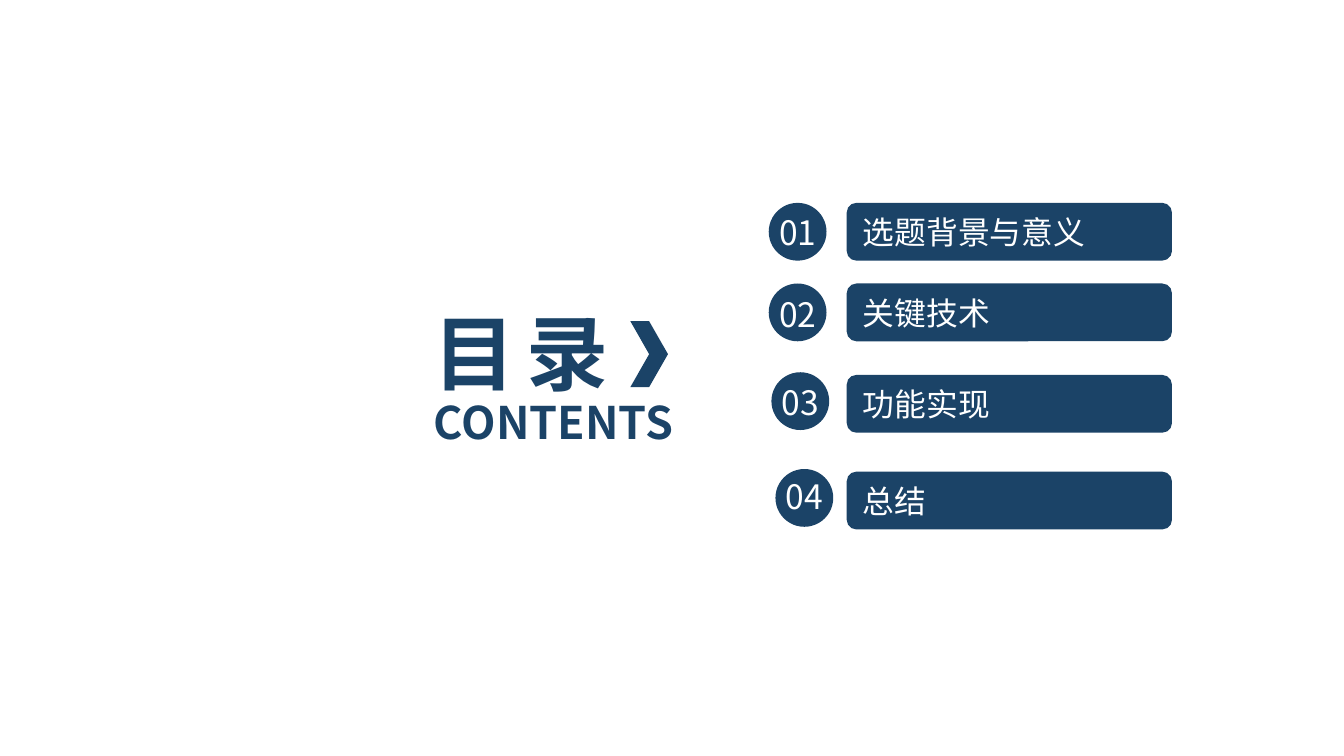
from dataclasses import dataclass

import pptx
import pptx.dml.color
import pptx.enum.shapes
import pptx.enum.text
import pptx.oxml.ns
import pptx.util

SHAPE = pptx.enum.shapes.MSO_SHAPE
ALIGN = pptx.enum.text.PP_ALIGN
SLIDE_WIDTH = 10
SLIDE_HEIGHT = SLIDE_WIDTH * 9 / 16
COLUMNS = 100
ROWS = COLUMNS * 9 / 16  # square grid cells


@dataclass(frozen=True)
class Theme:
    navy: str = "1B4367"
    white: str = "FFFFFF"
    font: str = "Noto Sans CJK SC"
    title_size: int = 44
    subtitle_size: int = 24
    number_size: int = 18
    entry_size: int = 17


def write_text(shape, text, *, theme, size, color, bold=False,
               align=ALIGN.LEFT, spacing=None):
    frame = shape.text_frame
    frame.word_wrap = True
    frame.auto_size = pptx.enum.text.MSO_AUTO_SIZE.SHAPE_TO_FIT_TEXT
    frame.vertical_anchor = pptx.enum.text.MSO_ANCHOR.MIDDLE
    paragraph = frame.paragraphs[0]
    paragraph.alignment = align
    run = paragraph.add_run()
    run.text = text
    run.font.size = pptx.util.Pt(size)
    run.font.bold = bold
    run.font.name = theme.font
    run.font.color.rgb = pptx.dml.color.RGBColor.from_string(color)
    properties = run._r.get_or_add_rPr()
    east_asian = pptx.oxml.ns.qn("a:ea")
    properties.find(pptx.oxml.ns.qn("a:latin")).addnext(
        properties.makeelement(east_asian, {"typeface": theme.font}))
    if spacing is not None:
        properties.set("spc", str(round(spacing * 100)))


class ContentsSlide:
    def __init__(self, slide, theme):
        self.slide = slide
        self.theme = theme

    def box(self, column, row, columns, rows):
        """Turn grid cells into slide lengths."""
        cell_width = SLIDE_WIDTH / COLUMNS
        cell_height = SLIDE_HEIGHT / ROWS
        return [pptx.util.Inches(length) for length in (
            column * cell_width, row * cell_height,
            columns * cell_width, rows * cell_height)]

    def solid(self, kind, *cells, parent=None):
        shape = (parent or self.slide).shapes.add_shape(kind, *self.box(*cells))
        shape.shadow.inherit = False
        shape.fill.solid()
        shape.fill.fore_color.rgb = pptx.dml.color.RGBColor.from_string(
            self.theme.navy)
        shape.line.fill.background()
        return shape

    def label(self, text, *cells, parent=None, **style):
        textbox = (parent or self.slide).shapes.add_textbox(*self.box(*cells))
        write_text(textbox, text, theme=self.theme, **style)

    def heading(self):
        theme = self.theme
        self.label("目 录", 31.3, 22, 23.5, 8.4, size=theme.title_size,
                   color=theme.navy, bold=True, spacing=-2.2)
        self.label("CONTENTS", 31.3, 28.9, 23.1, 5, size=theme.subtitle_size,
                   color=theme.navy, bold=True)
        self.solid(SHAPE.CHEVRON, 46.9, 23.9, 2.8, 4.9)

    def badge(self, number, column, row, text_row):
        diameter, text_width = 4.3, 5.2
        group = self.slide.shapes.add_group_shape()
        self.solid(SHAPE.OVAL, column, row, diameter, diameter, parent=group)
        self.label(f"{number:02}", column + (diameter - text_width) / 2,
                   text_row, text_width, 4, parent=group,
                   size=self.theme.number_size, color=self.theme.white,
                   align=ALIGN.CENTER)

    def entry(self, title, row):
        bar = self.solid(SHAPE.ROUNDED_RECTANGLE, 63, row, 24.2, 4.3)
        write_text(bar, title, theme=self.theme, size=self.theme.entry_size,
                   color=self.theme.white)


def main():
    deck = pptx.Presentation()
    deck.slide_width = pptx.util.Inches(SLIDE_WIDTH)
    deck.slide_height = pptx.util.Inches(SLIDE_HEIGHT)
    contents = ContentsSlide(deck.slides.add_slide(deck.slide_layouts[6]), Theme())
    contents.heading()

    # title, bar row, badge column, badge row, number row
    chapters = [
        ("选题背景与意义", 15.1, 57.2, 15.1, 15.3),
        ("关键技术", 21.1, 57.2, 21.1, 21.4),
        ("功能实现", 27.9, 57.4, 27.7, 27.9),
        ("总结", 35.1, 57.7, 34.9, 34.9),
    ]
    for number, (title, bar_row, *badge_place) in enumerate(chapters, start=1):
        contents.entry(title, bar_row)
        contents.badge(number, *badge_place)
    deck.save("out.pptx")


if __name__ == "__main__":
    main()
